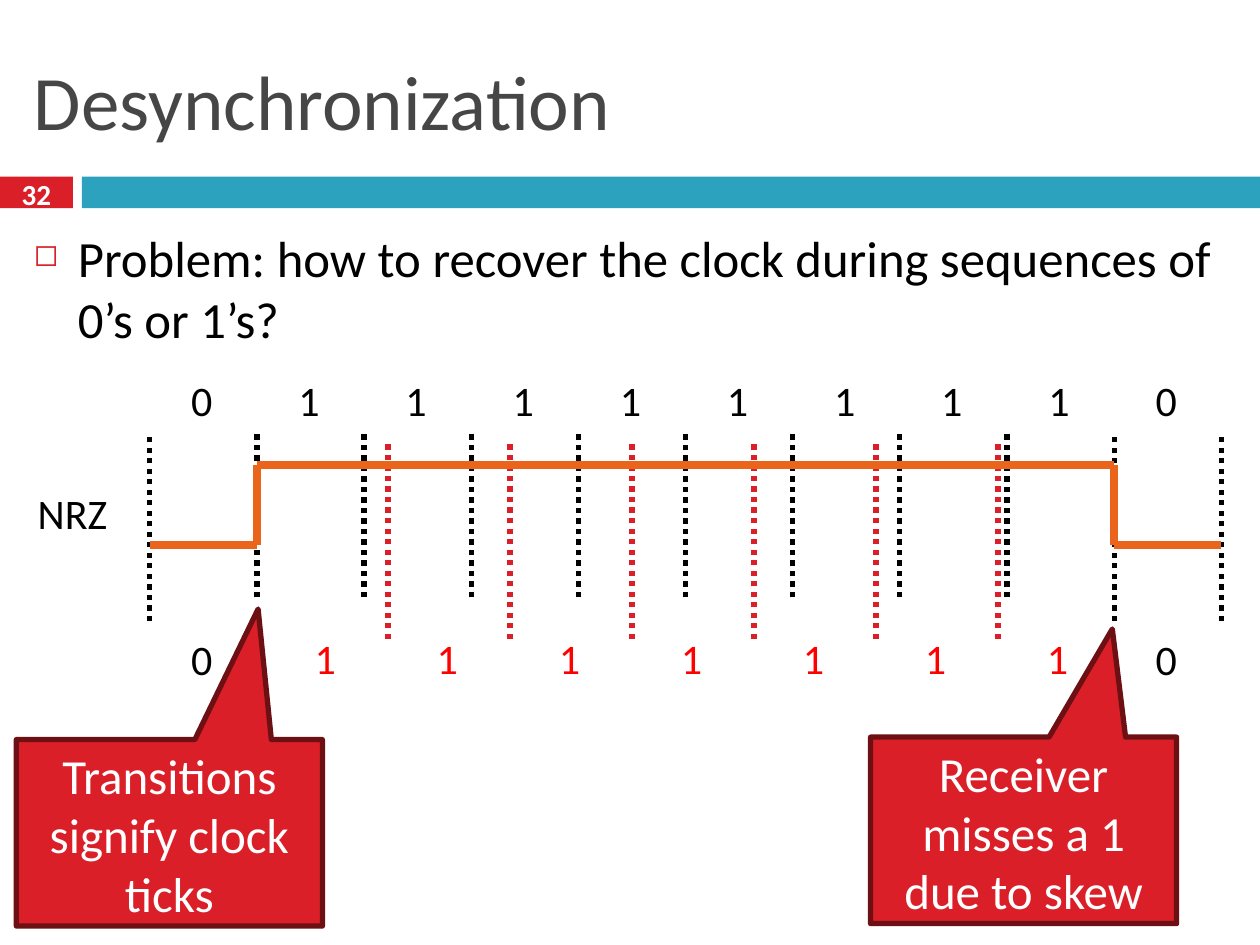
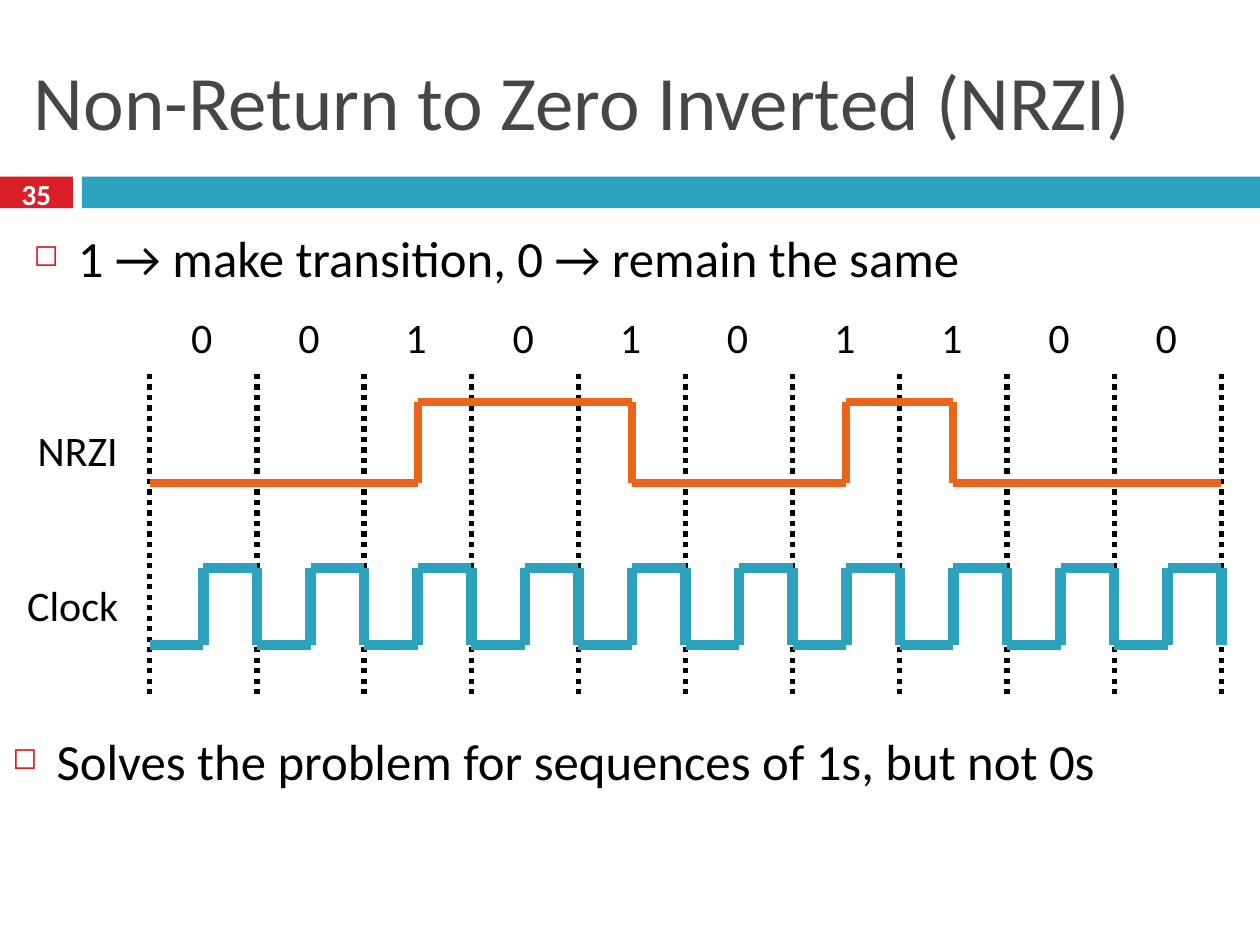
"""Build two slides on clock recovery in NRZ and NRZI line coding."""
from itertools import pairwise

from lxml.etree import SubElement
from pptx import Presentation
from pptx.dml.color import RGBColor
from pptx.enum.dml import MSO_LINE
from pptx.enum.shapes import MSO_CONNECTOR, MSO_SHAPE
from pptx.enum.text import MSO_ANCHOR, PP_ALIGN
from pptx.oxml.ns import qn
from pptx.util import Cm, Pt

FONT = "Calibri"
BLACK = RGBColor(0x00, 0x00, 0x00)
WHITE = RGBColor(0xFF, 0xFF, 0xFF)
GREY = RGBColor(0x46, 0x46, 0x46)
CRIMSON = RGBColor(0xDA, 0x1F, 0x28)
MAROON = RGBColor(0x6D, 0x10, 0x14)
RED = RGBColor(0xFF, 0x00, 0x00)
TEAL = RGBColor(0x2D, 0xA2, 0xBF)
ORANGE = RGBColor(0xEB, 0x64, 0x1B)

GRID_LEFT = 3.02
SLOT = 2.16
SLOT_COUNT = 10
SKEWED_LEFT = 5.36
SKEWED_SLOT = 2.46
DIGIT_WIDTH = 0.99
LABEL_HEIGHT = 1.27


def box(left, top, width, height):
    return Cm(left), Cm(top), Cm(width), Cm(height)


def grid_x(slot):
    return GRID_LEFT + slot * SLOT


def skewed_x(slot):
    return SKEWED_LEFT + slot * SKEWED_SLOT


def add_run(paragraph, text, size, color, bold=False):
    run = paragraph.add_run()
    run.text = text
    run.font.name = FONT
    run.font.size = Pt(size)
    run.font.bold = bold
    run.font.color.rgb = color


def add_band(slide, left, width, color):
    band = slide.shapes.add_shape(MSO_SHAPE.RECTANGLE, *box(left, 3.56, width, 0.64))
    band.shadow.inherit = False
    band.fill.solid()
    band.fill.fore_color.rgb = color
    band.line.fill.background()


def add_page_number(slide, number):
    text_box = slide.shapes.add_textbox(*box(0, 3.48, 1.47, 0.84))
    frame = text_box.text_frame
    frame.word_wrap = True
    frame.vertical_anchor = MSO_ANCHOR.MIDDLE
    paragraph = frame.paragraphs[0]
    paragraph.alignment = PP_ALIGN.CENTER
    add_run(paragraph, str(number), 16.6, WHITE, bold=True)


def add_titled_slide(presentation, title, number):
    slide = presentation.slides.add_slide(presentation.slide_layouts[5])
    add_band(slide, 0, 1.47, CRIMSON)
    add_band(slide, 1.65, 23.75, TEAL)
    add_page_number(slide, number)
    placeholder = slide.shapes.title
    placeholder.left, placeholder.top, placeholder.width, placeholder.height = box(
        0.43, 0.64, 24.56, 2.74)
    placeholder.text_frame.vertical_anchor = MSO_ANCHOR.MIDDLE
    paragraph = placeholder.text_frame.paragraphs[0]
    paragraph.alignment = PP_ALIGN.LEFT
    add_run(paragraph, title, 44, GREY)
    return slide


def add_bullet(slide, text, left, top, width, height=1.7):
    text_box = slide.shapes.add_textbox(*box(left, top, width, height))
    text_box.text_frame.word_wrap = True
    paragraph = text_box.text_frame.paragraphs[0]
    paragraph.space_before = Pt(7)
    add_run(paragraph, text, 29, BLACK)
    properties = paragraph._p.get_or_add_pPr()
    properties.set("marL", str(Cm(0.89)))
    properties.set("indent", str(Cm(-0.89)))
    bullet_color = SubElement(properties, qn("a:buClr"))
    SubElement(bullet_color, qn("a:srgbClr"), val=str(CRIMSON))
    SubElement(properties, qn("a:buSzPct"), val="60000")
    SubElement(properties, qn("a:buChar"), char="◻")


def add_label(slide, text, left, top, width, color=BLACK):
    text_box = slide.shapes.add_textbox(*box(left, top, width, LABEL_HEIGHT))
    text_box.text_frame.word_wrap = False
    add_run(text_box.text_frame.paragraphs[0], text, 24, color)


def add_digit(slide, digit, center, top, color=BLACK):
    add_label(slide, digit, center - DIGIT_WIDTH / 2, top, DIGIT_WIDTH, color)


def add_bits(slide, bits, top):
    for slot, bit in enumerate(bits):
        add_digit(slide, bit, grid_x(slot + 0.5), top)


def add_line(slide, start, end, color, width):
    line = slide.shapes.add_connector(
        MSO_CONNECTOR.STRAIGHT, *map(Cm, start), *map(Cm, end))
    line.line.color.rgb = color
    line.line.width = Pt(width)
    SubElement(line._element.spPr, qn("a:effectLst"))
    return line


def add_tick(slide, x, top, bottom, color=BLACK):
    tick = add_line(slide, (x, bottom), (x, top), color, 3)
    tick.line.dash_style = MSO_LINE.ROUND_DOT


def add_wave(slide, half_slot_levels, low, high, color, width):
    """Draw a square wave from one 0 or 1 level per half slot."""
    heights = [high if level else low for level in half_slot_levels]
    points = [(grid_x(0), heights[0])]
    for index, (before, after) in enumerate(pairwise(heights), start=1):
        if before != after:
            x = grid_x(index / 2)
            points += [(x, before), (x, after)]
    end = (grid_x(SLOT_COUNT), heights[-1])
    if points[-1] != end:
        points.append(end)
    for start, stop in pairwise(points):
        add_line(slide, start, stop, color, width)


def nrz_levels(bits):
    return [int(bit) for bit in bits for _ in range(2)]


def nrzi_levels(bits):
    levels, level = [], 0
    for bit in bits:
        levels.append(level)
        level ^= int(bit)
        levels.append(level)
    return levels


def add_callout(slide, text, left, top, tip_y):
    callout = slide.shapes.add_shape(
        MSO_SHAPE.RECTANGULAR_CALLOUT, *box(left, top, 6.17, 3.76))
    callout.adjustments[0] = 0.29
    callout.adjustments[1] = tip_y
    callout.shadow.inherit = False
    callout.fill.solid()
    callout.fill.fore_color.rgb = CRIMSON
    callout.line.color.rgb = MAROON
    callout.line.width = Pt(3)
    frame = callout.text_frame
    frame.word_wrap = True
    frame.vertical_anchor = MSO_ANCHOR.TOP
    paragraph = frame.paragraphs[0]
    paragraph.alignment = PP_ALIGN.CENTER
    add_run(paragraph, text, 28, WHITE)


def build_desynchronization(presentation):
    bits = "0111111110"
    slide = add_titled_slide(presentation, "Desynchronization", 32)
    add_bullet(slide, "Problem: how to recover the clock during sequences of 0’s or 1’s?",
               0.43, 4.45, 24.56, 14.17)
    for slot in range(1, 7):
        add_tick(slide, skewed_x(slot), 8.94, 12.88, CRIMSON)
    for slot in range(SLOT_COUNT + 1):
        add_tick(slide, grid_x(slot), 8.71, 12.52 if slot in (0, 9, 10) else 12.04)
    add_label(slide, "NRZ", 0.51, 9.7, 1.93)
    add_wave(slide, nrz_levels(bits), 10.98, 9.37, ORANGE, 4.5)
    add_bits(slide, bits, 7.42)
    for slot in (0, SLOT_COUNT - 1):
        add_digit(slide, "0", grid_x(slot + 0.5), 12.64)
    for slot in range(7):
        add_digit(slide, "1", skewed_x(slot + 0.5), 12.63, RED)
    add_callout(slide, "Transitions signify clock ticks", 0.33, 14.91, -1.2)
    add_callout(slide, "Receiver misses a 1 due to skew", 17.55, 14.86, -1.08)


def build_nrzi(presentation):
    bits = "0010101100"
    slide = add_titled_slide(presentation, "Non-Return to Zero Inverted (NRZI)", 35)
    add_bullet(slide, "1 → make transition, 0 → remain the same", 0.43, 4.45, 24.56)
    for slot in range(SLOT_COUNT + 1):
        add_tick(slide, grid_x(slot), 7.44, 14)
    add_wave(slide, [0, 1] * SLOT_COUNT + [0], 13, 11.45, TEAL, 6)
    add_label(slide, "Clock", 0.3, 11.56, 2.36)
    add_label(slide, "NRZI", 0.51, 8.43, 2.13)
    add_wave(slide, nrzi_levels(bits), 9.73, 8.1, ORANGE, 4.5)
    add_bits(slide, bits, 6.15)
    add_bullet(slide, "Solves the problem for sequences of 1s, but not 0s", 0, 14.58, 25.4)


def main():
    presentation = Presentation()
    presentation.slide_width = Cm(25.4)
    presentation.slide_height = Cm(19.05)
    build_desynchronization(presentation)
    build_nrzi(presentation)
    presentation.save("out.pptx")


if __name__ == "__main__":
    main()
